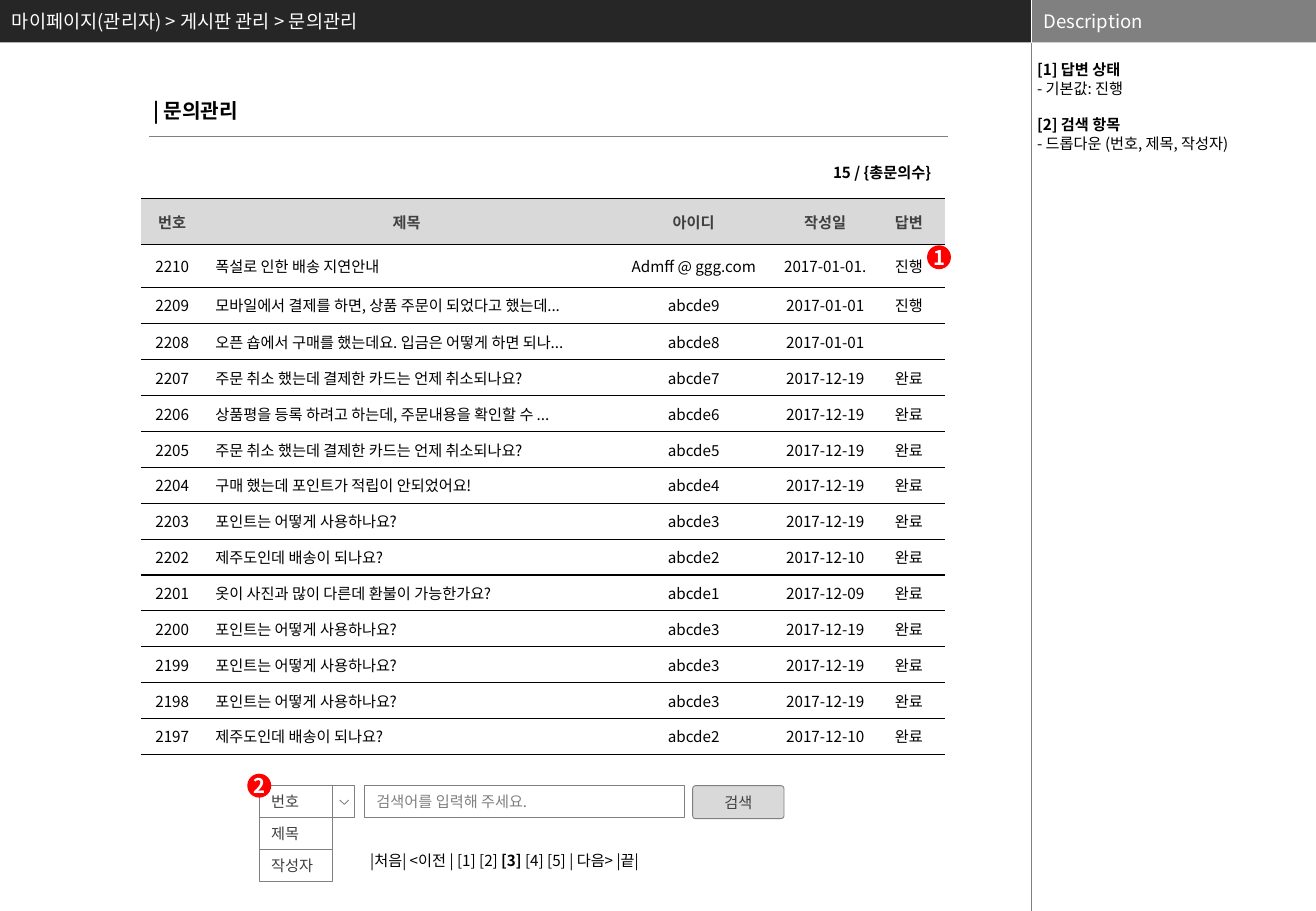
import lxml.etree
import pptx
import pptx.dml.color
import pptx.enum.shapes
import pptx.enum.text
import pptx.oxml
import pptx.oxml.ns
import pptx.util

Cm, Pt, RGBColor = pptx.util.Cm, pptx.util.Pt, pptx.dml.color.RGBColor
qn = pptx.oxml.ns.qn
SHAPE = pptx.enum.shapes.MSO_SHAPE
LEFT, CENTER, RIGHT = (getattr(pptx.enum.text.PP_ALIGN, name) for name in ("LEFT", "CENTER", "RIGHT"))
TOP, MIDDLE = pptx.enum.text.MSO_ANCHOR.TOP, pptx.enum.text.MSO_ANCHOR.MIDDLE

FONT = "Noto Sans CJK KR"
BLACK = RGBColor(0x00, 0x00, 0x00)
WHITE = RGBColor(0xFF, 0xFF, 0xFF)
RED = RGBColor(0xFF, 0x00, 0x00)
CHARCOAL = RGBColor(0x26, 0x26, 0x26)
DARK_GRAY = RGBColor(0x40, 0x40, 0x40)
GRAY = RGBColor(0x80, 0x80, 0x80)
LIGHT_GRAY = RGBColor(0xD9, 0xD9, 0xD9)


def add_box(shapes, kind, bounds, fill=None, line=None):
    """Add a preset shape, or a text box when kind is None; bounds are in cm."""
    bounds = [Cm(value) for value in bounds]
    if kind is None:
        return shapes.add_textbox(*bounds)
    shape = shapes.add_shape(kind, *bounds)
    shape.shadow.inherit = False
    if fill is None:
        shape.fill.background()
    else:
        shape.fill.solid()
        shape.fill.fore_color.rgb = fill
    if line is None:
        shape.line.fill.background()
    else:
        shape.line.color.rgb = line
        shape.line.width = Pt(0.5)
    return shape


def write(holder, lines, size=9, color=BLACK, align=LEFT, anchor=MIDDLE, insets=(0.25, 0.13), wrap=True):
    """Fill a text frame or table cell; each line is a list of (text, bold) runs."""
    frame = getattr(holder, "text_frame", holder)
    frame.word_wrap = wrap
    layout = {
        "margin_left": Cm(insets[0]), "margin_right": Cm(insets[0]),
        "margin_top": Cm(insets[1]), "margin_bottom": Cm(insets[1]),
        "vertical_anchor": anchor,
    }
    for name, value in layout.items():
        setattr(holder, name, value)
    for index, line in enumerate(lines):
        paragraph = frame.add_paragraph() if index else frame.paragraphs[0]
        paragraph.alignment = align
        for text, bold in line:
            run = paragraph.add_run()
            run.text = text
            for name, value in {"name": FONT, "size": Pt(size), "bold": bold}.items():
                setattr(run.font, name, value)
            run.font.color.rgb = color
            east_asian = lxml.etree.SubElement(run.font._element, qn("a:ea"))
            east_asian.set("typeface", FONT)


presentation = pptx.Presentation()
presentation.slide_width, presentation.slide_height = Cm(27.51), Cm(19.05)
slide = presentation.slides.add_slide(presentation.slide_layouts[6])
shapes = slide.shapes

# Header bars
SIDEBAR = 21.56
BAR_HEIGHT = 0.89
for left, width, fill, text in (
    (0, SIDEBAR, CHARCOAL, "마이페이지(관리자) > 게시판 관리 > 문의관리"),
    (SIDEBAR, 5.95, GRAY, "Description"),
):
    bar = add_box(shapes, SHAPE.RECTANGLE, (left, 0, width, BAR_HEIGHT), fill)
    write(bar.text_frame, [[(text, False)]], size=11, color=WHITE)

# Dividers and title rule
for start_x, start_y, end_x, end_y, color, width in (
    (SIDEBAR, 0, SIDEBAR, BAR_HEIGHT, WHITE, 0.25),
    (SIDEBAR, BAR_HEIGHT, SIDEBAR, 19.05, GRAY, 0.25),
    (3.12, 2.86, 19.81, 2.86, GRAY, 0.75),
):
    connector = shapes.add_connector(
        pptx.enum.shapes.MSO_CONNECTOR.STRAIGHT, Cm(start_x), Cm(start_y), Cm(end_x), Cm(end_y))
    connector.line.color.rgb = color
    connector.line.width = Pt(width)
    lxml.etree.SubElement(connector._element.spPr, qn("a:effectLst"))

# Page title and description
title = add_box(shapes, None, (2.95, 1.93, 3.99, 0.77))
write(title.text_frame, [[("| 문의관리", True)]], size=12, anchor=TOP)

description = add_box(shapes, None, (21.58, 1.27, 5.93, 17.78))
write(description.text_frame, [
    [("[1] 답변 상태", True)],
    [("- 기본값: 진행", False)],
    [("[2] 검색 항목", True)],
    [("- 드롭다운 (번호, 제목, 작성자)", False)],
], anchor=TOP, insets=(0.1, 0))
for paragraph in description.text_frame.paragraphs:
    paragraph.line_spacing = Pt(10.85)
description.text_frame.paragraphs[2].space_before = Pt(10.85)

# Inquiry table
inquiries = [
    ("번호", "제목", "아이디", "작성일", "답변"),
    ("2210", "폭설로 인한 배송 지연안내", "Admff @ ggg.com", "2017-01-01.", "진행"),
    ("2209", "모바일에서 결제를 하면, 상품 주문이 되었다고 했는데...", "abcde9", "2017-01-01", "진행"),
    ("2208", "오픈 숍에서 구매를 했는데요. 입금은 어떻게 하면 되나...", "abcde8", "2017-01-01", ""),
    ("2207", "주문 취소 했는데 결제한 카드는 언제 취소되나요?", "abcde7", "2017-12-19", "완료"),
    ("2206", "상품평을 등록 하려고 하는데, 주문내용을 확인할 수 ...", "abcde6", "2017-12-19", "완료"),
    ("2205", "주문 취소 했는데 결제한 카드는 언제 취소되나요?", "abcde5", "2017-12-19", "완료"),
    ("2204", "구매 했는데 포인트가 적립이 안되었어요!", "abcde4", "2017-12-19", "완료"),
    ("2203", "포인트는 어떻게 사용하나요?", "abcde3", "2017-12-19", "완료"),
    ("2202", "제주도인데 배송이 되나요?", "abcde2", "2017-12-10", "완료"),
    ("2201", "옷이 사진과 많이 다른데 환불이 가능한가요?", "abcde1", "2017-12-09", "완료"),
    ("2200", "포인트는 어떻게 사용하나요?", "abcde3", "2017-12-19", "완료"),
    ("2199", "포인트는 어떻게 사용하나요?", "abcde3", "2017-12-19", "완료"),
    ("2198", "포인트는 어떻게 사용하나요?", "abcde3", "2017-12-19", "완료"),
    ("2197", "제주도인데 배송이 되나요?", "abcde2", "2017-12-10", "완료"),
]
column_widths = [1.3, 8.5, 3.5, 2.0, 1.5]
row_heights = [0.95, 0.9] + [0.75] * (len(inquiries) - 2)
table = shapes.add_table(
    len(inquiries), len(column_widths), Cm(2.95), Cm(4.16),
    Cm(sum(column_widths)), Cm(sum(row_heights))).table
table.first_row = table.horz_banding = False
for column, width in zip(table.columns, column_widths):
    column.width = Cm(width)
for row_index, (values, height) in enumerate(zip(inquiries, row_heights)):
    table.rows[row_index].height = Cm(height)
    is_header = row_index == 0
    for column_index, text in enumerate(values):
        cell = table.cell(row_index, column_index)
        write(cell, [[(text, is_header)]],
              color=DARK_GRAY if is_header else BLACK,
              align=LEFT if column_index == 1 and not is_header else CENTER,
              insets=(0.25, 0.13) if column_index < 2 else (0, 0))
        properties = cell._tc.get_or_add_tcPr()
        for side in ("lnL", "lnR", "lnT", "lnB"):
            border = lxml.etree.SubElement(properties, qn(f"a:{side}"), w=str(Pt(0.75)))
            if side in ("lnL", "lnR"):
                lxml.etree.SubElement(border, qn("a:noFill"))
            else:
                solid = lxml.etree.SubElement(border, qn("a:solidFill"))
                lxml.etree.SubElement(solid, qn("a:srgbClr"), val=str(BLACK))
        if is_header:
            cell.fill.solid()
            cell.fill.fore_color.rgb = LIGHT_GRAY
        else:
            cell.fill.background()

total = add_box(shapes, SHAPE.ROUNDED_RECTANGLE, (15.75, 3.35, 3.99, 0.51), WHITE)
write(total.text_frame, [[("15 / {총문의수}", True)]], align=RIGHT, insets=(0.25, 0))

# Search field, dropdown and button
SEARCH_TOP = 16.43
FIELD_HEIGHT = 0.67
field = add_box(shapes, SHAPE.RECTANGLE, (7.62, SEARCH_TOP, 6.68, FIELD_HEIGHT), line=GRAY)
write(field.text_frame, [[("검색어를 입력해 주세요.", False)]], color=GRAY)

dropdown = shapes.add_group_shape().shapes
for index, text in enumerate(("번호", "제목", "작성자")):
    option = add_box(dropdown, SHAPE.RECTANGLE,
                     (5.42, SEARCH_TOP + index * FIELD_HEIGHT, 1.54, FIELD_HEIGHT), line=GRAY)
    write(option.text_frame, [[(text, False)]], color=DARK_GRAY)
add_box(dropdown, SHAPE.RECTANGLE, (6.96, SEARCH_TOP, 0.46, FIELD_HEIGHT), WHITE, GRAY)
builder = dropdown.build_freeform(Cm(7.29), Cm(16.73))
builder.add_line_segments([(Cm(7.2), Cm(16.82)), (Cm(7.1), Cm(16.73))], close=False)
chevron = builder.convert_to_shape()
chevron.shadow.inherit = False
chevron.fill.background()
chevron.line.color.rgb = GRAY
chevron.line.width = Pt(0.5)

button = add_box(shapes, SHAPE.ROUNDED_RECTANGLE, (14.48, SEARCH_TOP, 1.91, 0.69), LIGHT_GRAY, GRAY)
button.adjustments[0] = 0.09
write(button.text_frame, [[("검색", False)]], color=DARK_GRAY, align=CENTER)

pager = add_box(shapes, None, (7.49, 17.68, 7.5, 0.64))
write(pager.text_frame, [[
    ("|처음| <이전 | [1] [2] ", False), ("[3]", True), (" [4] [5] | 다음> |끝|", False),
]], anchor=TOP)

# Numbered markers
for number, left, top in (("1", 19.38, 5.13), ("2", 5.17, 16.18)):
    marker = add_box(shapes, SHAPE.OVAL, (left, top, 0.5, 0.5), RED)
    write(marker.text_frame, [[(number, True)]], size=12, color=WHITE,
          align=CENTER, insets=(0, 0), wrap=False)

presentation.save("out.pptx")
